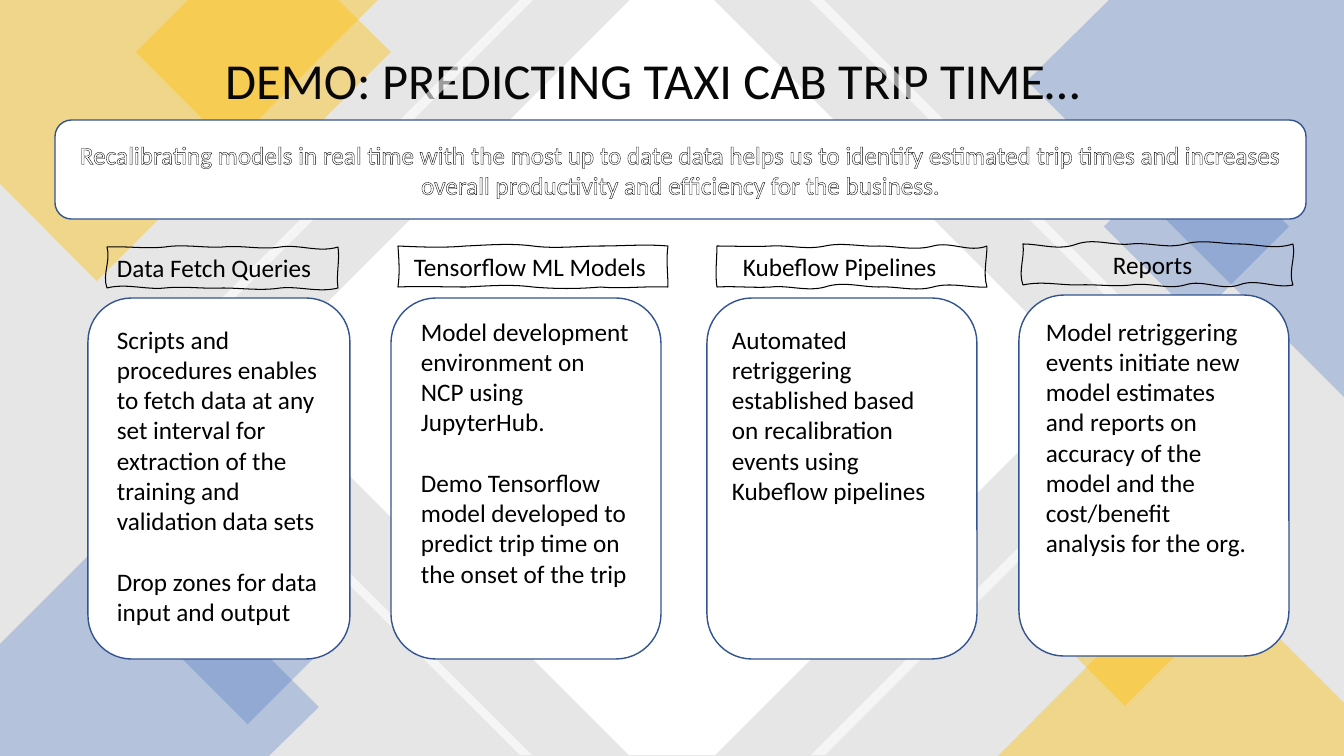
"""Build the taxi trip time demo slide."""
from lxml import etree
from pptx import Presentation, util as u
from pptx.dml.color import RGBColor
from pptx.enum import shapes, text
from pptx.oxml.ns import qn

PX = 914400 / 100.8
C = {"grey": "E7E6E6", "yellow": "FFC000", "blue": "4472C4", "white": "FFFFFF",
     "edge": "325491", "title": "080808", "black": "000000"}

prs = Presentation()
prs.slide_width, prs.slide_height = round(1344 * PX), round(756 * PX)
s = prs.slides.add_slide(prs.slide_layouts[6])


def style(sp, fill=None, alpha=100, line=None, width=1):
    """Set fill, transparency and outline."""
    sp.shadow.inherit = False
    if fill:
        sp.fill.solid()
        sp.fill.fore_color.rgb = RGBColor.from_string(C[fill])
        if alpha < 100:
            clr = sp.fill._xPr.find(qn("a:solidFill"))[0]
            etree.SubElement(clr, qn("a:alpha"), val=str(alpha * 1000))
    else:
        sp.fill.background()
    if line:
        sp.line.color.rgb = RGBColor.from_string(C[line])
        sp.line.width = u.Pt(width)
    else:
        sp.line.fill.background()


def write(sp, paras, size=18, color="black", align=text.PP_ALIGN.LEFT,
          anchor=text.MSO_ANCHOR.TOP):
    """Fill a shape with paragraphs one line apart."""
    tf = sp.text_frame
    tf.word_wrap = True
    tf.vertical_anchor = anchor
    for i, line in enumerate(paras):
        p = tf.add_paragraph() if i else tf.paragraphs[0]
        p.alignment = align
        if i:
            p.space_before = u.Pt(21.6)
        r = p.add_run()
        r.text = line
        r.font.name, r.font.size = "Calibri", u.Pt(size)
        r.font.color.rgb = RGBColor.from_string(C[color])
    return p


RECT, ROUND = shapes.MSO_SHAPE.RECTANGLE, shapes.MSO_SHAPE.ROUNDED_RECTANGLE
CENTER, MIDDLE = text.PP_ALIGN.CENTER, text.MSO_ANCHOR.MIDDLE

sp = s.shapes.add_shape(RECT, 0, 0, prs.slide_width, prs.slide_height)
style(sp, "grey")

title = s.shapes.add_textbox(*[round(v * PX) for v in (17, 20, 1272, 126)])
p = write(title, ["DEMO: PREDICTING TAXI CAB TRIP TIME…"], 36, "title", CENTER, MIDDLE)
p.line_spacing = 0.9

stripes = [[(810, 0), (824, 0), (1202, 378), (825, 755), (811, 755), (1188, 378)],
           [(520, 0), (533, 0), (155, 378), (532, 755), (520, 755), (142, 378)]]
backdrop = [
    ("yellow", 40, [[(0, 0), (378, 0), (97, 281), (0, 184)]]),
    ("yellow", 40, [[(188, 0), (338, 0), (391, 52), (263, 180), (136, 52)]]),
    ("blue", 30, [[(1109, 0), (1344, 0), (1344, 397), (1027, 81)]]),
    ("blue", 30, (1131, 161, 131)),
    ("blue", 30, [[(128, 516), (319, 707), (269, 756), (0, 756), (0, 644)]]),
    ("blue", 30, (196, 600, 103)),
    ("white", 100, [[(630, 0), (714, 0), (1092, 378), (715, 755), (629, 755), (252, 378)]]),
    ("white", 60, stripes),
    ("yellow", 40, [[(1197, 556), (1344, 703), (1344, 756), (998, 756)]]),
    ("yellow", 40, (1072, 578, 106)),
]
for color, alpha, outlines in backdrop:
    if isinstance(outlines, tuple):
        x, y, side = outlines
        sp = s.shapes.add_shape(RECT, *[round(v * PX) for v in (x, y, side, side)])
        sp.rotation = 45
    else:
        fb = None
        for pts in outlines:
            pts = [(x * PX, y * PX) for x, y in pts]
            if fb:
                fb.move_to(*pts[0])
            else:
                fb = s.shapes.build_freeform(*pts[0])
            fb.add_line_segments(pts[1:])
        sp = fb.convert_to_shape()
    style(sp, color, alpha)
    if outlines is stripes:
        sp._element.addprevious(title._element)

sp = s.shapes.add_shape(ROUND, *[round(v * PX) for v in (55, 120, 1251, 99)])
style(sp, "white", line="edge")
p = write(sp, ["Recalibrating models in real time with the most up to date data helps us to "
               "identify estimated trip times and increases overall productivity and "
               "efficiency for the business."], 18, "white", CENTER, MIDDLE)
ln = etree.Element(qn("a:ln"), w="12700")
fill = etree.SubElement(ln, qn("a:solidFill"))
etree.SubElement(fill, qn("a:srgbClr"), val=C["black"])
p.runs[0].font._element.insert(0, ln)

cards = [
    ((88, 298, 262), (107, 319),
     ["Scripts and procedures enables to fetch data at any set interval for extraction of "
      "the training and validation data sets", "Drop zones for data input and output"]),
    ((391, 298, 270), (411, 311),
     ["Model development environment on NCP using JupyterHub.",
      "Demo Tensorflow model developed to predict trip time on the onset of the trip"]),
    ((707, 298, 270), (722, 319),
     ["Automated retriggering established based on recalibration events using "
      "Kubeflow pipelines"]),
    ((1019, 295, 270), (1036, 311),
     ["Model retriggering events initiate new model estimates and reports on accuracy of "
      "the model and the cost/benefit analysis for the org."]),
]
for (x, y, w), (tx, ty), paras in cards:
    sp = s.shapes.add_shape(ROUND, *[round(v * PX) for v in (x, y, w, 361)])
    style(sp, "white", line="edge")
    sp = s.shapes.add_textbox(*[round(v * PX) for v in (tx, ty, 229, 315)])
    write(sp, paras)

labels = [
    ("Data Fetch Queries", 107, 247, 231, 10,
     [(-1, 2), (-3, 1), (-2, 3), (-3, 6)], (2, -2),
     [(5, -2), (3, 0), (1, -2), (2, -5)], (-5, 4)),
    ("Tensorflow ML Models", 398, 246, 270, 16,
     [(1, 2), (-1, -3), (3, 0), (0, -2)], (-2, 0),
     [(-1, 2), (2, 2), (-3, -1), (0, -1)], (2, 1)),
    ("Kubeflow Pipelines", 717, 246, 270, 26,
     [(0, 1), (-1, 4), (-4, 1), (0, 5), (-5, 7)], (0, -4),
     [(1, -5), (5, -1), (0, -6), (5, -2), (1, -1)], (-2, 0)),
    ("Reports", 1023, 244, 270, 90,
     [(0, 7), (-6, 2), (-2, 5), (-5, 0), (0, 6)], (3, -5),
     [(4, -7), (6, -6), (5, -3), (2, -1), (0, -4)], (-5, 2)),
]
H = 41
for label, x, y, w, indent, top, right, bottom, left in labels:
    fb = s.shapes.build_freeform(round(x * PX), round(y * PX))
    fb.add_line_segments([((x + dx) * PX, (y + dy) * PX) for dx, dy in [(w, 0), (w, H), (0, H)]])
    sp = fb.convert_to_shape()
    outline = sp._element.spPr.find(".//" + qn("a:path"))
    for seg in outline.findall(qn("a:lnTo")):
        outline.remove(seg)
    close = outline.find(qn("a:close"))
    corners = [(0, 0), (w, 0), (w, H), (0, H), (0, 0)]
    for side, waves in enumerate([top, [right], bottom, [left]]):
        (x0, y0), (x1, y1) = corners[side:side + 2]
        for i, (d1, d2) in enumerate(waves):
            curve = etree.Element(qn("a:cubicBezTo"))
            close.addprevious(curve)
            for third, d in [(1, d1), (2, d2), (3, 0)]:
                f = (i + third / 3) / len(waves)
                px = x0 + (x1 - x0) * f + d * (side % 2)
                py = y0 + (y1 - y0) * f + d * (1 - side % 2)
                etree.SubElement(curve, qn("a:pt"), x=str(round(px * PX)), y=str(round(py * PX)))
    style(sp, line="black", width=0.75)
    write(sp, [label])
    sp.text_frame.margin_left = round(indent * PX)
    sp.text_frame.margin_right = 0

prs.save("out.pptx")
